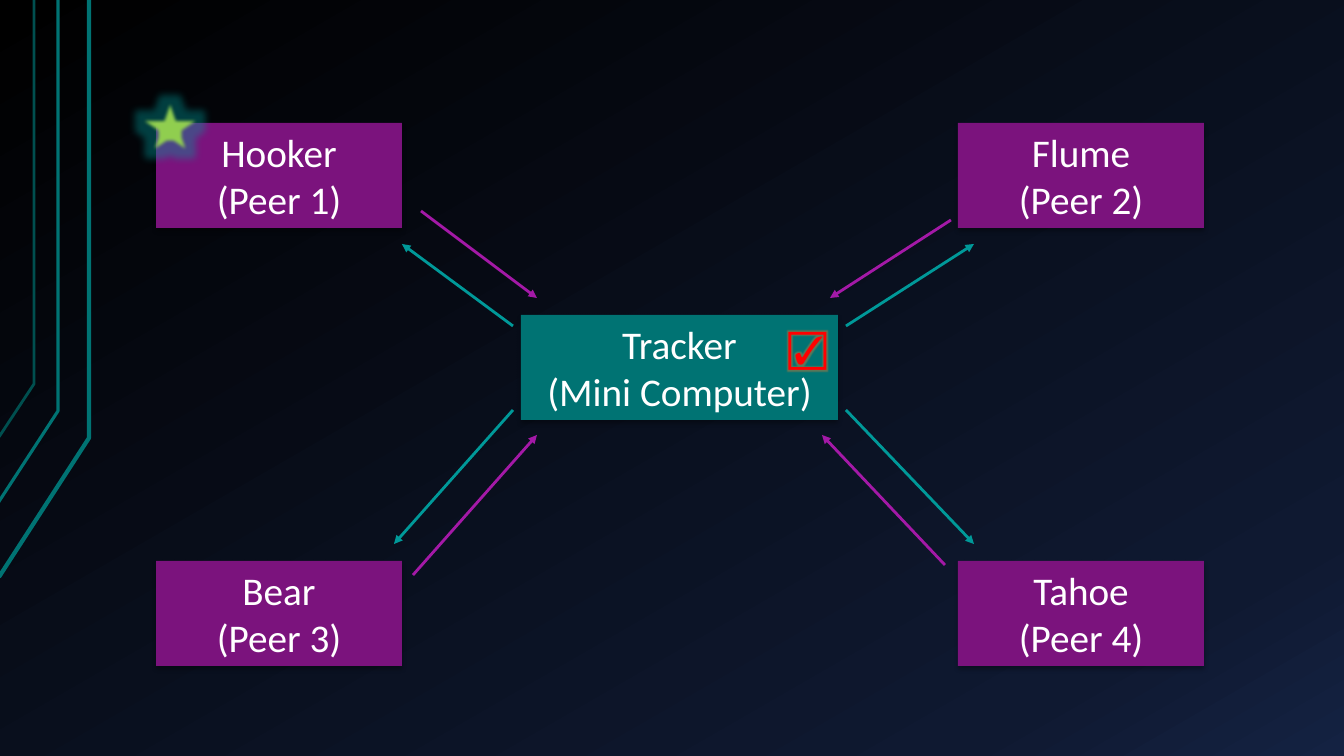
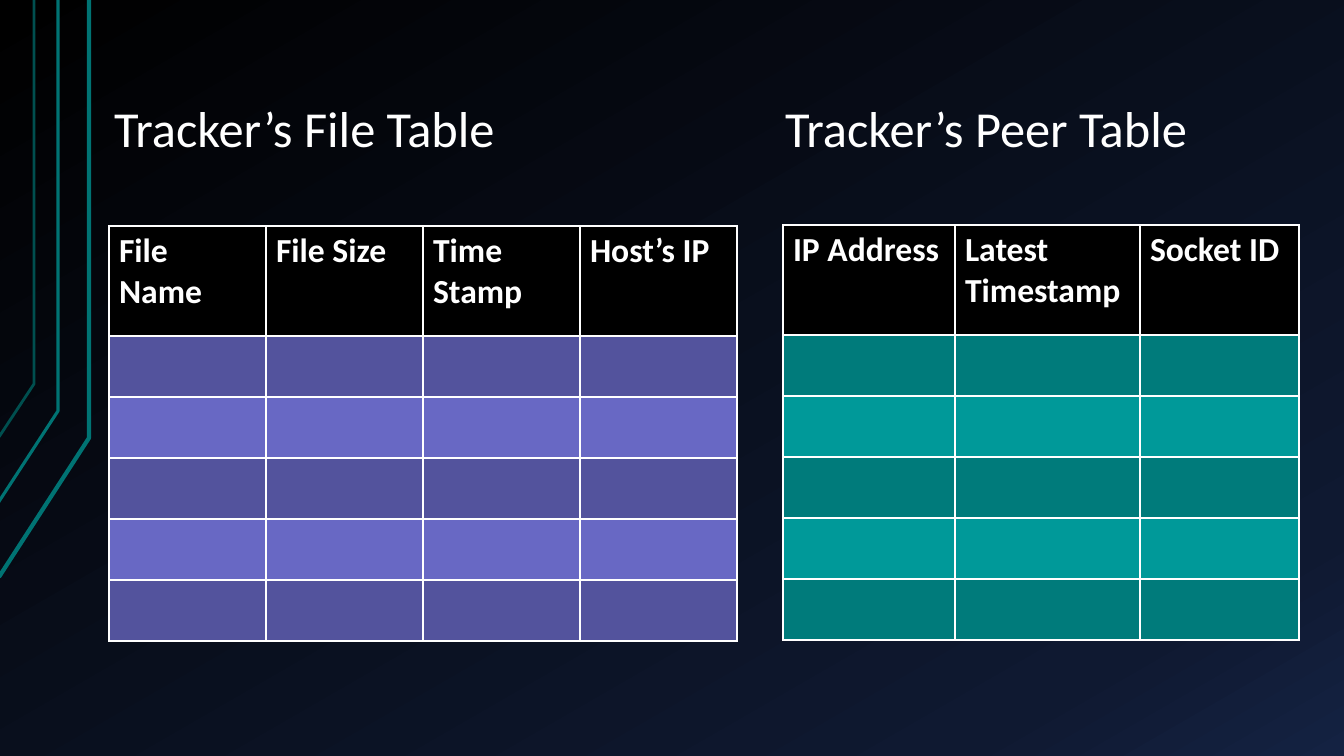
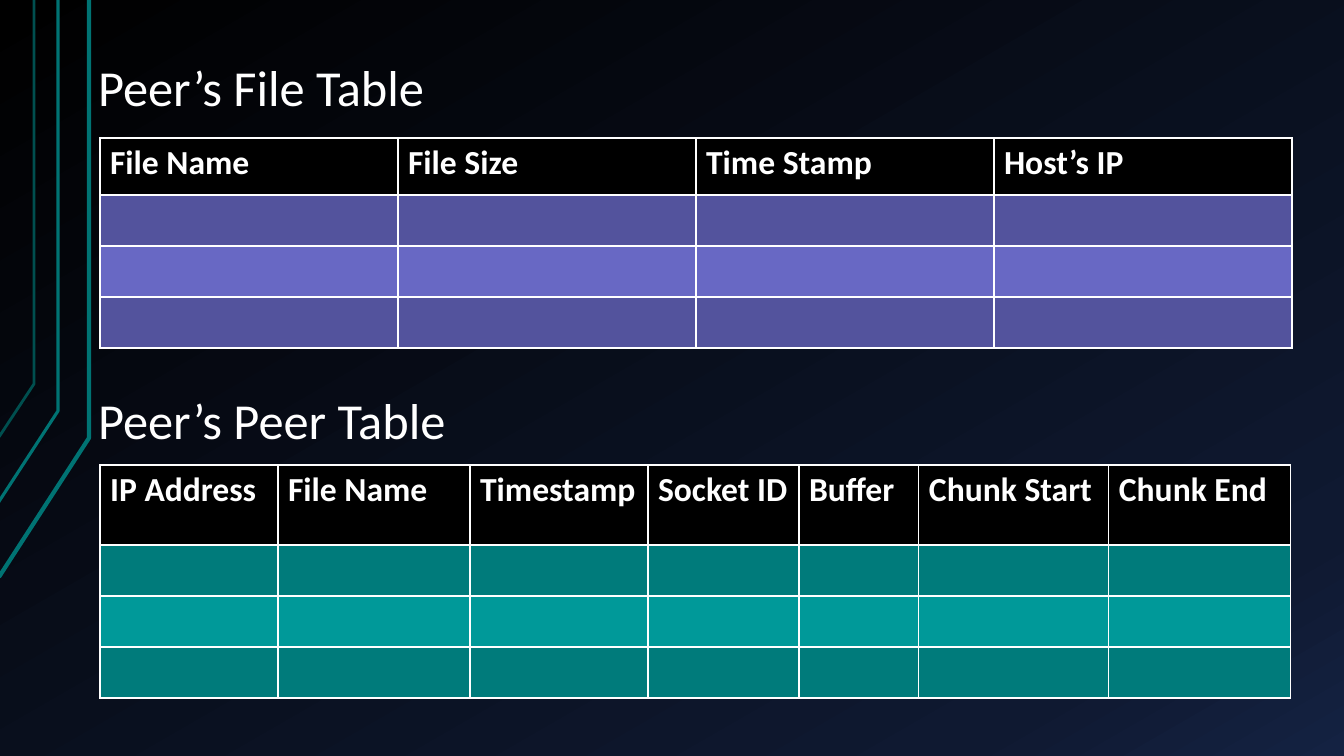
from lxml import etree
from pptx import Presentation
from pptx.dml.color import RGBColor
from pptx.enum.shapes import MSO_CONNECTOR, MSO_SHAPE
from pptx.enum.text import MSO_ANCHOR, MSO_AUTO_SIZE, PP_ALIGN
from pptx.oxml import parse_xml
from pptx.util import Pt

LINE = MSO_CONNECTOR.STRAIGHT
RECT, STAR = MSO_SHAPE.RECTANGLE, MSO_SHAPE.STAR_5_POINT
MID, LOW = MSO_ANCHOR.MIDDLE, MSO_ANCHOR.BOTTOM
LEFT, CENTER = PP_ALIGN.LEFT, PP_ALIGN.CENTER
FIXED = MSO_AUTO_SIZE.NONE

WHITE = RGBColor(0xFF, 0xFF, 0xFF)
BLACK = RGBColor(0x00, 0x00, 0x00)
TEAL = RGBColor(0x00, 0x73, 0x73)
DIM = RGBColor(0x00, 0x4F, 0x4F)
AQUA = RGBColor(0x00, 0x99, 0x99)
SEA = RGBColor(0x00, 0x7B, 0x7B)
PLUM = RGBColor(0x7B, 0x13, 0x7D)
PINK = RGBColor(0xA4, 0x19, 0xA7)
BLUE = RGBColor(0x53, 0x53, 0x9D)
SKY = RGBColor(0x68, 0x68, 0xC4)
LIME = RGBColor(0x92, 0xD0, 0x50)
RED = RGBColor(0xFF, 0x00, 0x00)
AMBER = RGBColor(0xED, 0x7D, 0x31)
NAVY = RGBColor(0x0F, 0x19, 0x31)
DUSK = RGBColor(0x14, 0x22, 0x42)

NS = "http://schemas.openxmlformats.org/drawingml/2006/main"
PX = 914400 / 100.8
FONT = "Calibri"
SHADE = ('<a:outerShdw blurRad="44450" dist="27940" dir="5400000">'
         '<a:srgbClr val="000000"><a:alpha val="32000"/></a:srgbClr></a:outerShdw>')
GLOW = '<a:glow rad="{}"><a:srgbClr val="{}"><a:alpha val="40000"/></a:srgbClr></a:glow>'

HEAD = {
    "frame": {"vertical_anchor": LOW, "word_wrap": True, "auto_size": FIXED,
              "margin_left": round(13 * PX), "margin_right": round(13 * PX),
              "margin_top": round(7 * PX), "margin_bottom": round(7 * PX)},
    "para": {"alignment": LEFT, "line_spacing": 0.9},
    "font": {"size": Pt(36), "name": FONT},
}
NODE = {
    "frame": {"vertical_anchor": MID, "word_wrap": True, "auto_size": FIXED},
    "para": {"alignment": CENTER},
    "font": {"size": Pt(28), "name": FONT},
}
MARK = {**NODE, "frame": {"word_wrap": True}, "para": {"alignment": LEFT}}
CELL = {"frame": {}, "para": {},
        "font": {"size": Pt(24), "name": FONT, "bold": True}}


def emu(*vals):
    return [round(val * PX) for val in vals]


def write(frame, text, look, color=WHITE):
    frame.text = text
    for key, val in look["frame"].items():
        setattr(frame, key, val)
    for para in frame.paragraphs:
        for key, val in look["para"].items():
            setattr(para, key, val)
        for key, val in look["font"].items():
            setattr(para.font, key, val)
            for run in para.runs:
                setattr(run.font, key, val)
        for run in para.runs:
            run.font.color.rgb = color


deck = Presentation()
deck.slide_width, deck.slide_height = emu(1344, 756)
plain, titled = deck.slide_layouts[6], deck.slide_layouts[5]
slides = [deck.slides.add_slide(lay) for lay in (plain, titled, titled)]

# Shared background
master = deck.slide_master
fill = master.background.fill
fill.gradient()
fill.gradient_angle = 300
stops = master.element.xpath("./p:cSld/p:bg//a:gsLst")[0]
for stop in list(stops):
    stops.remove(stop)
for pos, color in ((0, BLACK), (85, NAVY), (100, DUSK)):
    stop = etree.SubElement(stops, f"{{{NS}}}gs", pos=str(pos * 1000))
    etree.SubElement(stop, f"{{{NS}}}srgbClr", val=str(color))

# Shared bent lines, kept on the master
bends = [
    (((-1, 577), (89, 438), (89, 0)), TEAL, 3),
    (((-2, 503), (58, 411), (58, 0)), TEAL, 2.25),
    (((-1, 437), (34, 384), (34, 0)), DIM, 2),
]
for num, (pts, color, width) in enumerate(bends):
    path = slides[0].shapes.build_freeform(*pts[0], scale=PX)
    path.add_line_segments(pts[1:], close=False)
    bend = path.convert_to_shape()
    bend.shadow.inherit = False
    bend.fill.background()
    bend.line.color.rgb = color
    bend.line.width = Pt(width)
    bend.element.nvSpPr.cNvPr.id = 90 + num
    master.element.cSld.spTree.append(bend.element)

# Network nodes
shapes = slides[0].shapes
nodes = [
    ("Tracker\n(Mini Computer)", 521, 315, 317, TEAL),
    ("Flume\n(Peer 2)", 958, 123, 246, PLUM),
    ("Bear\n(Peer 3)", 156, 561, 246, PLUM),
    ("Tahoe\n(Peer 4)", 958, 561, 246, PLUM),
    ("Hooker\n(Peer 1)", 156, 123, 246, PLUM),
]
for text, left, top, width, color in nodes:
    node = shapes.add_shape(RECT, *emu(left, top, width, 105))
    node.fill.solid()
    node.fill.fore_color.rgb = color
    node.line.fill.background()
    write(node.text_frame, text, NODE)
    node.element.spPr.append(parse_xml(f'<a:effectLst xmlns:a="{NS}">{SHADE}</a:effectLst>'))

# Arrows to and from the tracker
arrows = {
    AQUA: [(513, 326, 402, 244), (846, 326, 974, 244),
           (846, 410, 974, 544), (513, 410, 394, 544)],
    PINK: [(421, 211, 537, 298), (945, 565, 822, 435),
           (413, 575, 537, 435), (951, 220, 830, 298)],
}
for color, ends in arrows.items():
    for end in ends:
        arrow = shapes.add_connector(LINE, *emu(*end))
        arrow.line.color.rgb = color
        arrow.line.width = Pt(2)
        etree.SubElement(arrow.line._get_or_add_ln(), f"{{{NS}}}tailEnd", type="triangle")
        etree.SubElement(arrow.element.spPr, f"{{{NS}}}effectLst")

# Star and check mark
star = shapes.add_shape(STAR, *emu(136, 96, 68, 60))
star.fill.solid()
star.fill.fore_color.rgb = LIME
star.line.color.rgb = LIME
star.line.width = Pt(2)
halo = GLOW.format(139700, AQUA) + '<a:softEdge rad="31750"/>'
star.element.spPr.append(parse_xml(f'<a:effectLst xmlns:a="{NS}">{halo}</a:effectLst>'))

check = shapes.add_textbox(*emu(778, 318, 60, 57))
write(check.text_frame, "☑", MARK, RED)
props = check.element.xpath(".//a:r/a:rPr")[0]
halo = GLOW.format(63500, AMBER)
props.insert(1, parse_xml(f'<a:effectLst xmlns:a="{NS}">{halo}</a:effectLst>'))

# Headings with their tables
files = ["File Name", "File Size", "Time Stamp", "Host’s IP"]
peers = ["IP Address", "Latest Timestamp", "Socket ID"]
chunks = ["IP Address", "File Name", "Timestamp", "Socket ID",
          "Buffer", "Chunk Start", "Chunk End"]
parts = [
    (slides[1], "Tracker’s File Table", (101, 30, 570, 135), files,
     (109, 226), [157] * 4, [110] + [61] * 5, (BLUE, SKY)),
    (slides[1], "Tracker’s Peer Table", (772, 30, 570, 135), peers,
     (783, 225), [172, 185, 159], [110] + [61] * 5, (SEA, AQUA)),
    (slides[2], "Peer’s File Table", (85, 51, 570, 73), files,
     (100, 138), [298] * 4, [57] + [51] * 3, (BLUE, SKY)),
    (slides[2], "Peer’s Peer Table", (85, 386, 570, 71), chunks,
     (100, 465), [178, 192, 178, 151, 120, 190, 182], [80] + [51] * 3, (SEA, AQUA)),
]
for slide, text, area, names, spot, wides, highs, bands in parts:
    head = slide.shapes.title
    if head.has_text_frame and head.text_frame.text:
        head = slide.shapes.add_textbox(*emu(*area))
    head.left, head.top, head.width, head.height = emu(*area)
    write(head.text_frame, text, HEAD)

    size = emu(*spot, sum(wides), sum(highs))
    table = slide.shapes.add_table(len(highs), len(wides), *size).table
    table.first_row = table.horz_banding = False
    for col, wide in zip(table.columns, emu(*wides)):
        col.width = wide
    for num, (row, high) in enumerate(zip(table.rows, emu(*highs))):
        row.height = high
        for name, cell in zip(names, row.cells):
            props = cell._tc.get_or_add_tcPr()
            for side in "LRTB":
                props.append(parse_xml(
                    f'<a:ln{side} xmlns:a="{NS}" w="12700"><a:solidFill>'
                    f'<a:srgbClr val="{WHITE}"/></a:solidFill></a:ln{side}>'))
            cell.fill.solid()
            cell.fill.fore_color.rgb = bands[(num - 1) % 2] if num else BLACK
            if num == 0:
                write(cell.text_frame, name, CELL)

deck.save("out.pptx")
